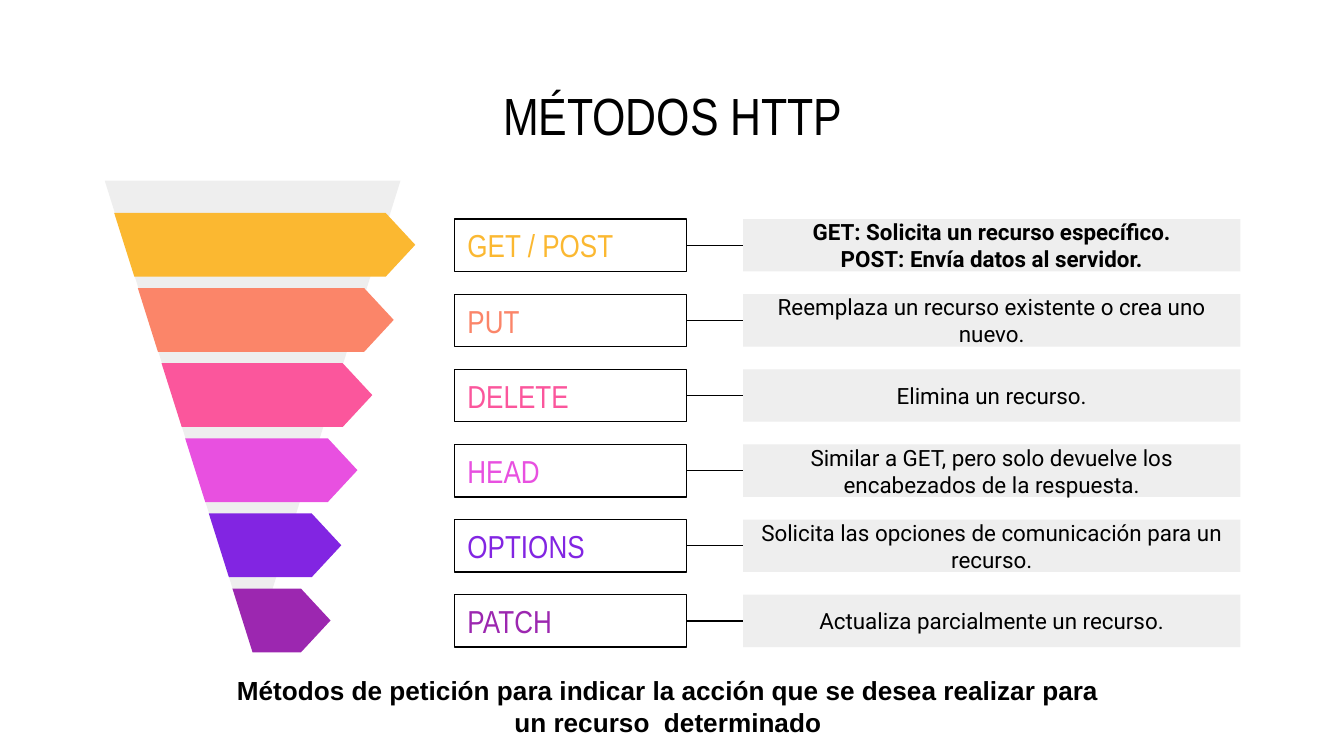
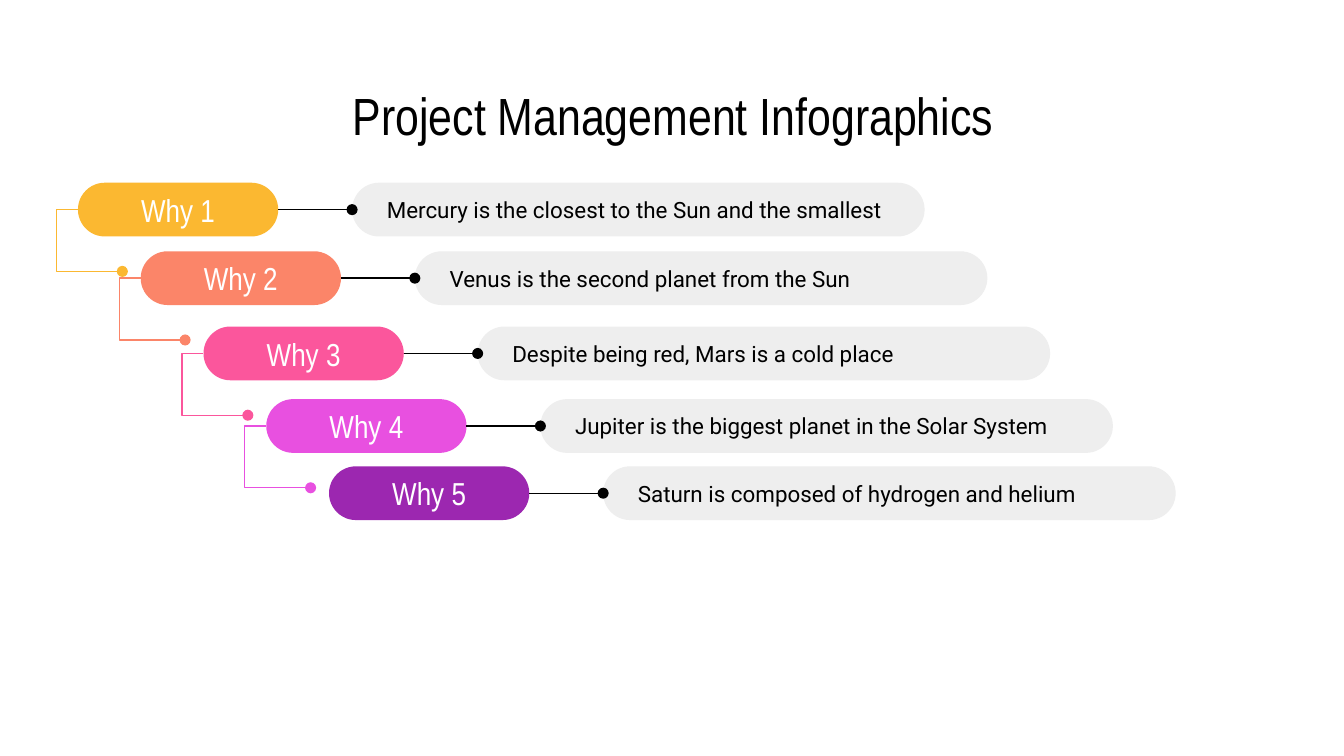
from dataclasses import dataclass

from lxml import etree
from pptx import Presentation
from pptx import util as u
from pptx.dml.color import RGBColor
from pptx.enum import shapes, text
from pptx.oxml import ns

COLORS = {
    "black": "000000", "white": "FFFFFF", "grey": "EEEEEE",
    "amber": "FBB831", "coral": "FB8569", "pink": "FB569C",
    "orchid": "E850E0", "violet": "8225E2", "purple": "9C27B0",
}
HEADING, BODY, CAPTION = "Arial Narrow", "Roboto", "Arial"
WIDTH, HEIGHT = u.Pt(720), u.Pt(405)
COL, ROW = WIDTH / 100, HEIGHT / 56.25

METHODS = [
    ("GET / POST", "amber", 30.9,
     ["GET: Solicita un recurso específico.", "POST: Envía datos al servidor."]),
    ("PUT", "coral", 29.3, ["Reemplaza un recurso existente o crea uno nuevo."]),
    ("DELETE", "pink", 27.7, ["Elimina un recurso."]),
    ("HEAD", "orchid", 26.6,
     ["Similar a GET, pero solo devuelve los encabezados de la respuesta."]),
    ("OPTIONS", "violet", 25.4,
     ["Solicita las opciones de comunicación para un recurso."]),
    ("PATCH", "purple", 24.6, ["Actualiza parcialmente un recurso."]),
]
WHYS = [
    ("Why 1", "amber", 13.6, "Mercury is the closest to the Sun and the smallest"),
    ("Why 2", "coral", 18.7, "Venus is the second planet from the Sun"),
    ("Why 3", "pink", 24.3, "Despite being red, Mars is a cold place"),
    ("Why 4", "orchid", 29.7, "Jupiter is the biggest planet in the Solar System"),
    ("Why 5", "purple", 34.7, "Saturn is composed of hydrogen and helium"),
]


@dataclass
class Box:
    """A region measured in columns and rows of the slide grid."""
    x: float
    y: float
    w: float
    h: float

    def inner(self, dx, dy, w, h):
        """Return a region placed relative to this one."""
        return Box(self.x + dx, self.y + dy, w, h)

    def point(self, dx, dy):
        """Return a point relative to this region, in EMU."""
        return round((self.x + dx) * COL), round((self.y + dy) * ROW)

    def emu(self):
        """Return left, top, width and height in EMU."""
        return (*self.point(0, 0), round(self.w * COL), round(self.h * ROW))


def rgb(color):
    """Look up a palette colour."""
    return RGBColor.from_string(COLORS[color])


def write(holder, lines, *, size, font, color="black", bold=False, align="LEFT",
          anchor="MIDDLE", inset=1, margin=1):
    """Fill a shape with formatted paragraphs."""
    frame = holder.text_frame
    frame.word_wrap = True
    frame.vertical_anchor = text.MSO_ANCHOR[anchor]
    frame.margin_left, frame.margin_right = round(inset * COL), round(COL)
    frame.margin_top = frame.margin_bottom = round(margin * ROW)
    for index, line in enumerate(lines):
        paragraph = frame.add_paragraph() if index else frame.paragraphs[0]
        paragraph.alignment = text.PP_ALIGN[align]
        run = paragraph.add_run()
        run.text = line
        run.font.size, run.font.name, run.font.bold = u.Pt(size), font, bold
        run.font.color.rgb = rgb(color)


def paint(shape, fill=None, line=None):
    """Set the fill and outline of a shape and drop its shadow."""
    shape.shadow.inherit = False
    if fill:
        shape.fill.solid()
        shape.fill.fore_color.rgb = rgb(fill)
    else:
        shape.fill.background()
    if line:
        stroke(shape, line)
    else:
        shape.line.fill.background()
    return shape


def stroke(shape, color, dot=False):
    """Draw a thin line, with an oval end if asked."""
    shape.line.color.rgb = rgb(color)
    shape.line.width = u.Pt(0.75)
    if dot:
        border = shape._element.spPr.find(ns.qn("a:ln"))
        etree.SubElement(border, ns.qn("a:tailEnd"), type="oval")


def block(slide, box, kind="RECTANGLE", **look):
    """Add a preset shape."""
    shape = slide.shapes.add_shape(shapes.MSO_SHAPE[kind], *box.emu())
    if kind == "ROUNDED_RECTANGLE":
        shape.adjustments[0] = 0.5
    return paint(shape, **look)


def outline(slide, box, points, closed=True, **look):
    """Add a freeform through points relative to the box."""
    start, *rest = [box.point(*point) for point in points]
    builder = slide.shapes.build_freeform(*start, scale=1.0)
    builder.add_line_segments(rest, close=closed)
    return paint(builder.convert_to_shape(), **look)


def join(slide, label, detail, dot=False):
    """Connect the right side of a label to the left side of its detail."""
    link = slide.shapes.add_connector(shapes.MSO_CONNECTOR.STRAIGHT, 0, 0, 0, 0)
    link.begin_connect(label, 3)
    link.end_connect(detail, 1)
    stroke(link, "black", dot)
    etree.SubElement(link._element.spPr, ns.qn("a:effectLst"))


def add_title(slide, title):
    """Place the slide title."""
    heading = slide.shapes.add_textbox(*Box(7.8, 5.9, 84.5, 5.3).emu())
    write(heading, [title], size=28, font=HEADING, align="CENTER")


def add_funnel(slide, box, pitch):
    """Draw the funnel and its arrows, narrowing downwards."""
    outline(slide, box, [(box.w, 0), (0, 0), (box.w / 2, box.h)], fill="grey")
    slope, height, tip = 1.5, 4.74, 2.2
    for index, (_, color, reach, _) in reversed(list(enumerate(METHODS))):
        band = box.inner(0.7 + 1.76 * index, 2.4 + pitch * index, 0, height)
        end = reach - band.x
        outline(slide, band, [(0, 0), (slope, height), (end - tip, height),
                              (end, height / 2), (end - tip, 0)], fill=color)


def add_method_rows(slide, box, pitch):
    """List each method beside its description."""
    for index, (method, color, _, lines) in enumerate(METHODS):
        row = box.inner(0, pitch * index, box.w, 3.9)
        label = block(slide, row.inner(0, 0, 17.3, row.h), line="black")
        write(label, [method], size=17, font=HEADING, color=color)
        detail = block(slide, row.inner(row.w - 37, 0, 37, row.h), fill="grey")
        write(detail, lines, size=12, font=BODY, bold=len(lines) > 1, align="CENTER")
        join(slide, label, detail)


def add_caption(slide, box):
    """Place the closing sentence."""
    caption = slide.shapes.add_textbox(*box.emu())
    write(caption, ["Métodos de petición para indicar la acción que se desea "
                    "realizar para un recurso  determinado"],
          size=14, font=CAPTION, bold=True, align="CENTER", anchor="TOP", margin=0.5)
    caption.text_frame.auto_size = text.MSO_AUTO_SIZE.SHAPE_TO_FIT_TEXT


def add_why_step(slide, box, why, color, sentence, last):
    """Draw one step: elbow, pill and sentence."""
    middle = box.h / 2
    if not last:
        elbow = outline(slide, box, [(0, middle), (-1.6, middle), (-1.6, middle + 4.6),
                                     (3.3, middle + 4.6)], closed=False, line=color)
        stroke(elbow, color, dot=True)
    pill = block(slide, box.inner(0, 0, 14.9, box.h), "ROUNDED_RECTANGLE", fill=color)
    write(pill, [why], size=17, font=HEADING, color="white", align="CENTER")
    detail = block(slide, box.inner(box.w - 42.6, 0, 42.6, box.h),
                   "ROUNDED_RECTANGLE", fill="grey")
    write(detail, [sentence], size=12, font=BODY, inset=2)
    join(slide, pill, detail, dot=True)


def build_methods(slide):
    """Compose the slide of HTTP methods."""
    pitch = 5.59
    add_title(slide, "MÉTODOS HTTP")
    add_funnel(slide, Box(7.8, 13.45, 22, 35.1), pitch)
    add_method_rows(slide, Box(33.8, 16.3, 58.5, 31.8), pitch)
    add_caption(slide, Box(16.1, 49.7, 67.2, 5.7))


def build_whys(slide):
    """Compose the slide of five whys."""
    add_title(slide, "Project Management Infographics")
    for index, (why, color, top, sentence) in enumerate(WHYS):
        add_why_step(slide, Box(5.8 + 4.67 * index, top, 63, 4), why, color,
                     sentence, last=index == len(WHYS) - 1)


def main():
    """Build and save the deck."""
    deck = Presentation()
    deck.slide_width, deck.slide_height = WIDTH, HEIGHT
    for build in (build_methods, build_whys):
        build(deck.slides.add_slide(deck.slide_layouts[6]))
    deck.save("out.pptx")


if __name__ == "__main__":
    main()
